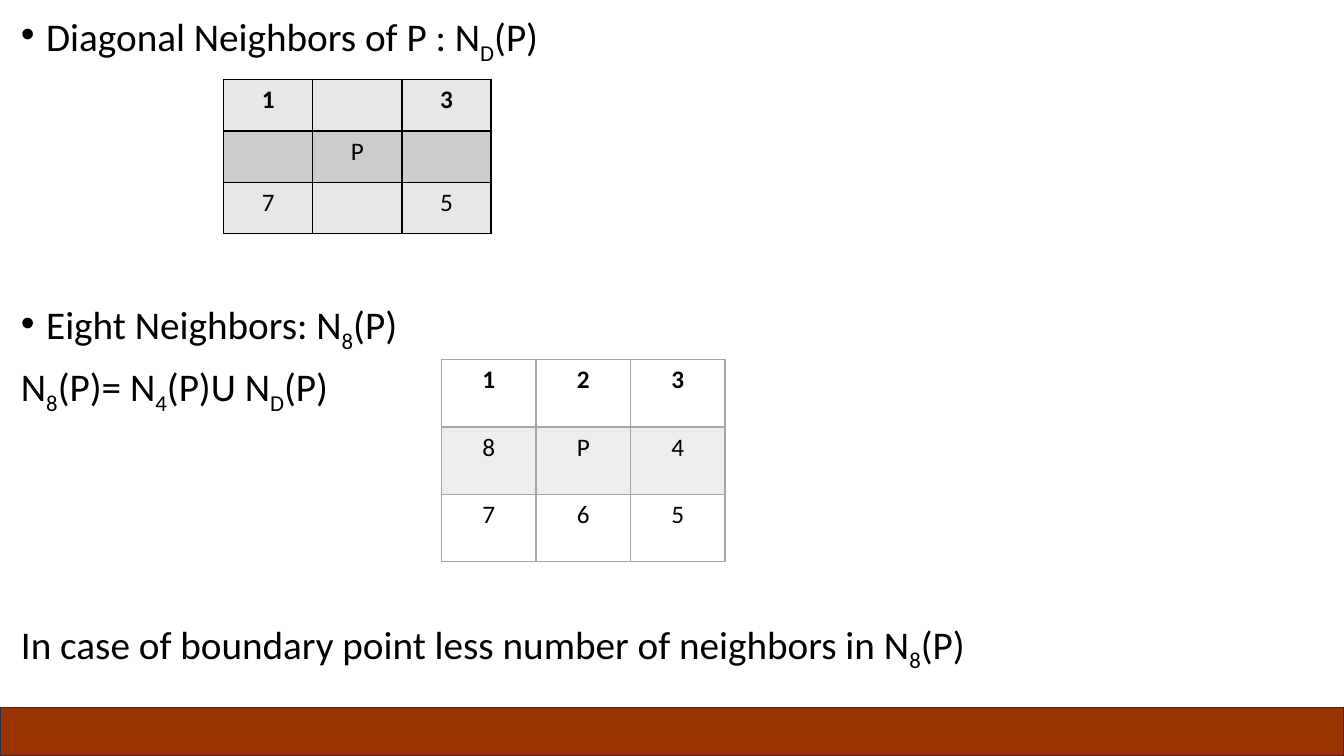
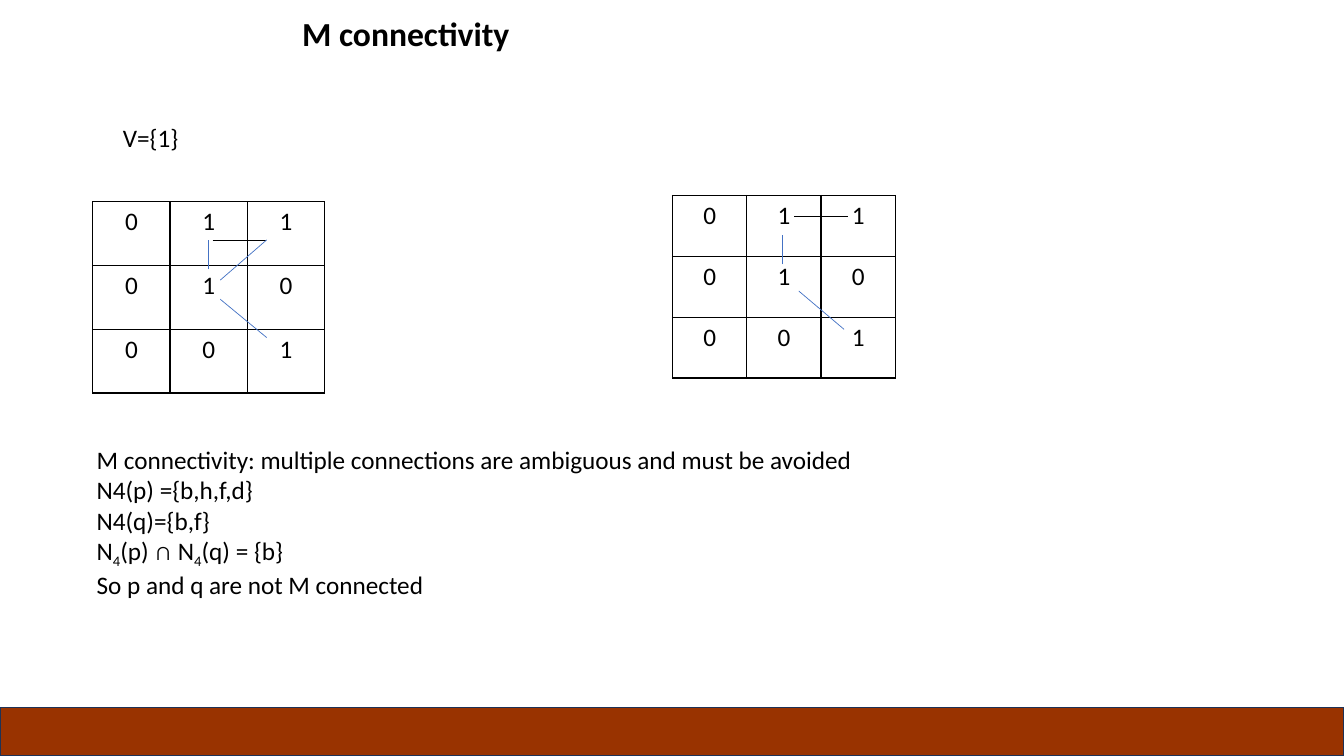
from dataclasses import dataclass

from lxml import etree
from pptx import Presentation
from pptx.dml.color import RGBColor
from pptx.enum.shapes import MSO_CONNECTOR, MSO_SHAPE
from pptx.enum.text import PP_ALIGN
from pptx.oxml.ns import qn
from pptx.util import Inches, Pt

CENTER, LEFT = PP_ALIGN.CENTER, PP_ALIGN.LEFT
STRAIGHT, RECTANGLE = MSO_CONNECTOR.STRAIGHT, MSO_SHAPE.RECTANGLE
WIDTH, HEIGHT = 13.33, 7.5


@dataclass(frozen=True)
class Theme:
    font: str = "Calibri"
    ink: str = "000000"
    paper: str = "FFFFFF"
    band: str = "993300"
    band_edge: str = "1E3256"
    link: str = "4472C4"
    gray: str = "A5A5A5"
    pale_gray: str = "EDEDED"
    light_row: str = "E7E7E7"
    dark_row: str = "CCCCCC"
    body: int = 28
    title: int = 24
    small: int = 18


THEME = Theme()


def rgb(color):
    return RGBColor.from_string(color)


def write(paragraph, text, size, bold=False, align=LEFT):
    """Add text run by run; the letter after an underscore is a subscript."""
    paragraph.alignment = align
    first, *rest = text.split("_")
    pieces = [(first, False)]
    for part in rest:
        pieces += [(part[0], True), (part[1:], False)]
    for words, subscript in pieces:
        run = paragraph.add_run()
        run.text = words
        font = run.font
        font.name, font.size, font.bold = THEME.font, Pt(size), bold
        font.color.rgb = rgb(THEME.ink)
        if subscript:
            run._r.get_or_add_rPr().set("baseline", "-25000")


def add_text(slide, box, lines, size=THEME.small, **style):
    """Write one paragraph per line and return the paragraphs."""
    frame = slide.shapes.add_textbox(*map(Inches, box)).text_frame
    frame.word_wrap = True
    for line in lines[1:]:
        frame.add_paragraph()
    for paragraph, line in zip(frame.paragraphs, lines):
        write(paragraph, line, size, **style)
    return frame.paragraphs


def add_bullet(paragraph):
    properties = paragraph._p.get_or_add_pPr()
    properties.set("marL", str(Inches(0.25)))
    properties.set("indent", str(-Inches(0.25)))
    etree.SubElement(properties, qn("a:buFont"), typeface="Arial")
    etree.SubElement(properties, qn("a:buChar"), char="•")


def set_borders(cell, color, widths):
    """Draw the left, right, top and bottom edges, in points."""
    properties = cell._tc.get_or_add_tcPr()
    for index, (side, width) in enumerate(zip("LRTB", widths)):
        edge = etree.Element(qn(f"a:ln{side}"), w=str(Pt(width)))
        fill = etree.SubElement(edge, qn("a:solidFill"))
        etree.SubElement(fill, qn("a:srgbClr"), val=color)
        properties.insert(index, edge)


def add_pixel_grid(slide, box, rows, fills, edge=THEME.ink, header=False, rule=1):
    """Draw a pixel neighborhood; rule is the line width under the first row."""
    count = len(rows)
    left, top, width, height = map(Inches, box)
    table = slide.shapes.add_table(count, len(rows[0]), left, top, width, height).table
    table.first_row = table.horz_banding = False
    for r, (row, fill) in enumerate(zip(rows, fills)):
        for c, value in enumerate(row):
            cell = table.cell(r, c)
            cell.fill.solid()
            cell.fill.fore_color.rgb = rgb(fill)
            set_borders(cell, edge, (1, 1, rule if r == 1 else 1, rule if r == 0 else 1))
            paragraph = cell.text_frame.paragraphs[0]
            paragraph.font.size = Pt(THEME.small)
            if value != " ":
                write(paragraph, value, THEME.small, header and r == 0, CENTER)


def add_links(slide, box, size, links):
    """Join pixels; points count columns and rows of a square grid in the box."""
    left, top, width, height = box

    def place(column, row):
        return Inches(left + width * column / size), Inches(top + height * row / size)

    for start, end, color in links:
        link = slide.shapes.add_connector(STRAIGHT, *place(*start), *place(*end))
        link.line.color.rgb = rgb(color)
        link.line.width = Pt(0.5)
        etree.SubElement(link._element.spPr, qn("a:effectLst"))


def add_band(slide):
    top = 7.02
    band = slide.shapes.add_shape(
        RECTANGLE, 0, Inches(top), Inches(WIDTH), Inches(HEIGHT - top))
    band.shadow.inherit = False
    band.fill.solid()
    band.fill.fore_color.rgb = rgb(THEME.band)
    band.line.color.rgb = rgb(THEME.band_edge)
    band.line.width = Pt(1)


def new_slide(deck):
    slide = deck.slides.add_slide(deck.slide_layouts[6])
    add_band(slide)
    return slide


def neighbors_slide(deck):
    slide = new_slide(deck)
    lines = {
        "Diagonal Neighbors of P : N_D(P)": 10,
        "Eight Neighbors: N_8(P)": 171.4,
        "N_8(P)= N_4(P)U N_D(P)": 10,
        "In case of boundary point less number of neighbors in N_8(P)": 149.3,
    }
    paragraphs = add_text(slide, (0.11, 0.08, 13.04, 6.9), list(lines), THEME.body)
    for paragraph, gap in zip(paragraphs, lines.values()):
        paragraph.line_spacing = 0.9
        paragraph.space_before = Pt(gap)
    for paragraph in paragraphs[:2]:
        add_bullet(paragraph)

    add_pixel_grid(slide, (2.22, 0.79, 2.65, 1.53), ("1 3", " P ", "7 5"),
                   (THEME.light_row, THEME.dark_row, THEME.light_row), header=True)
    add_pixel_grid(slide, (4.38, 3.57, 2.81, 2), ("123", "8P4", "765"),
                   (THEME.paper, THEME.pale_gray, THEME.paper),
                   edge=THEME.gray, header=True, rule=2)


def connectivity_slide(deck):
    slide = new_slide(deck)
    add_text(slide, (0.69, 0.08, 6.67, 0.5), ["M connectivity"],
             THEME.title, bold=True, align=CENTER)
    add_text(slide, (1.12, 1.16, 3.7, 0.4), ["V={1}"])
    add_text(slide, (0.86, 4.36, 9.62, 1.92), [
        "M connectivity: multiple connections are ambiguous and must be avoided",
        "N4(p) ={b,h,f,d}",
        "N4(q)={b,f}",
        "N_4(p) ∩ N_4(q) = {b}",
        "So p and q are not M connected",
    ])

    pixels = ("011", "010", "001")
    ambiguous_links = (
        ((1.5, 1.06), (1.5, 0.6), THEME.link),
        ((1.55, 0.6), (2.24, 0.6), THEME.ink),
        ((1.65, 1.23), (2.25, 0.6), THEME.link),
        ((1.65, 1.53), (2.25, 2.13), THEME.link),
    )
    m_links = (
        ((1.48, 1.13), (1.48, 0.65), THEME.link),
        ((1.64, 0.35), (2.36, 0.35), THEME.ink),
        ((1.7, 1.57), (2.31, 2.2), THEME.link),
    )
    for box, links in (((0.92, 2, 2.3, 1.9), ambiguous_links),
                       ((6.67, 1.94, 2.21, 1.81), m_links)):
        add_pixel_grid(slide, box, pixels, [THEME.paper] * len(pixels))
        add_links(slide, box, len(pixels), links)


def main():
    deck = Presentation()
    deck.slide_width, deck.slide_height = Inches(WIDTH), Inches(HEIGHT)
    neighbors_slide(deck)
    connectivity_slide(deck)
    deck.save("out.pptx")


if __name__ == "__main__":
    main()
